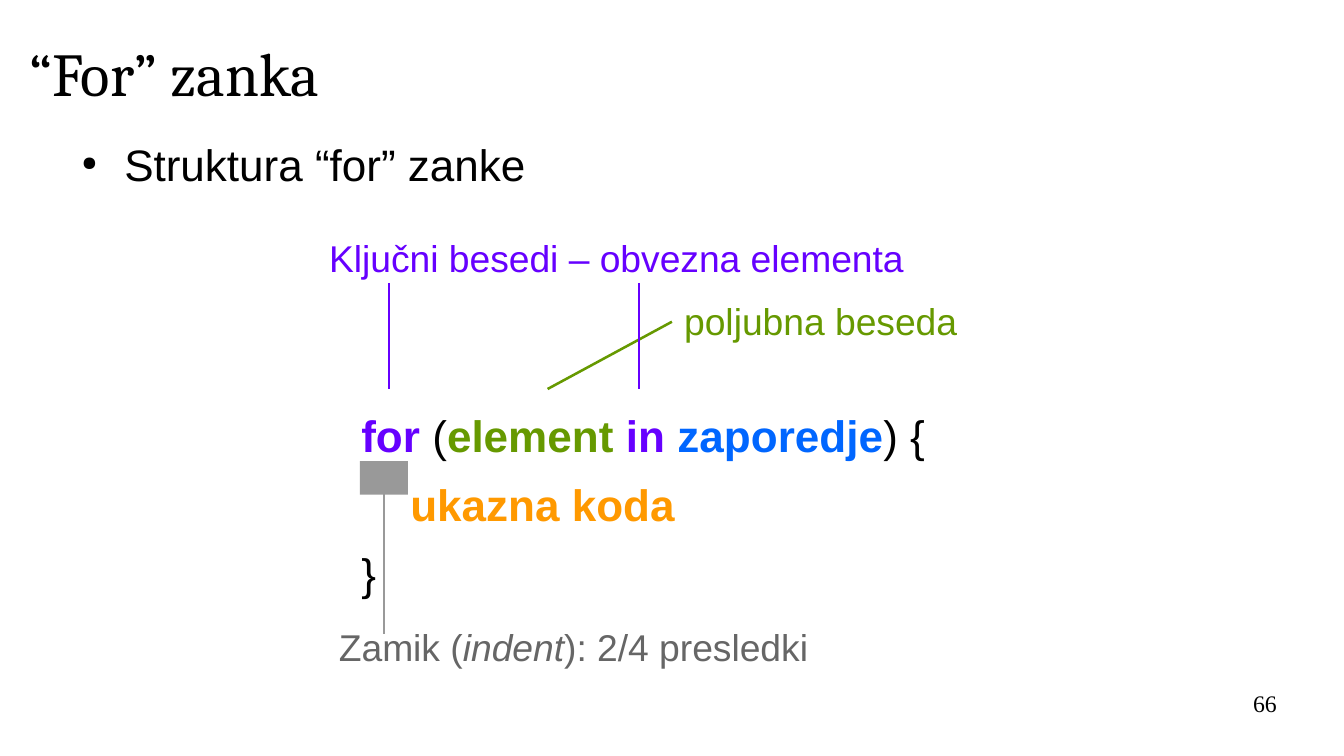
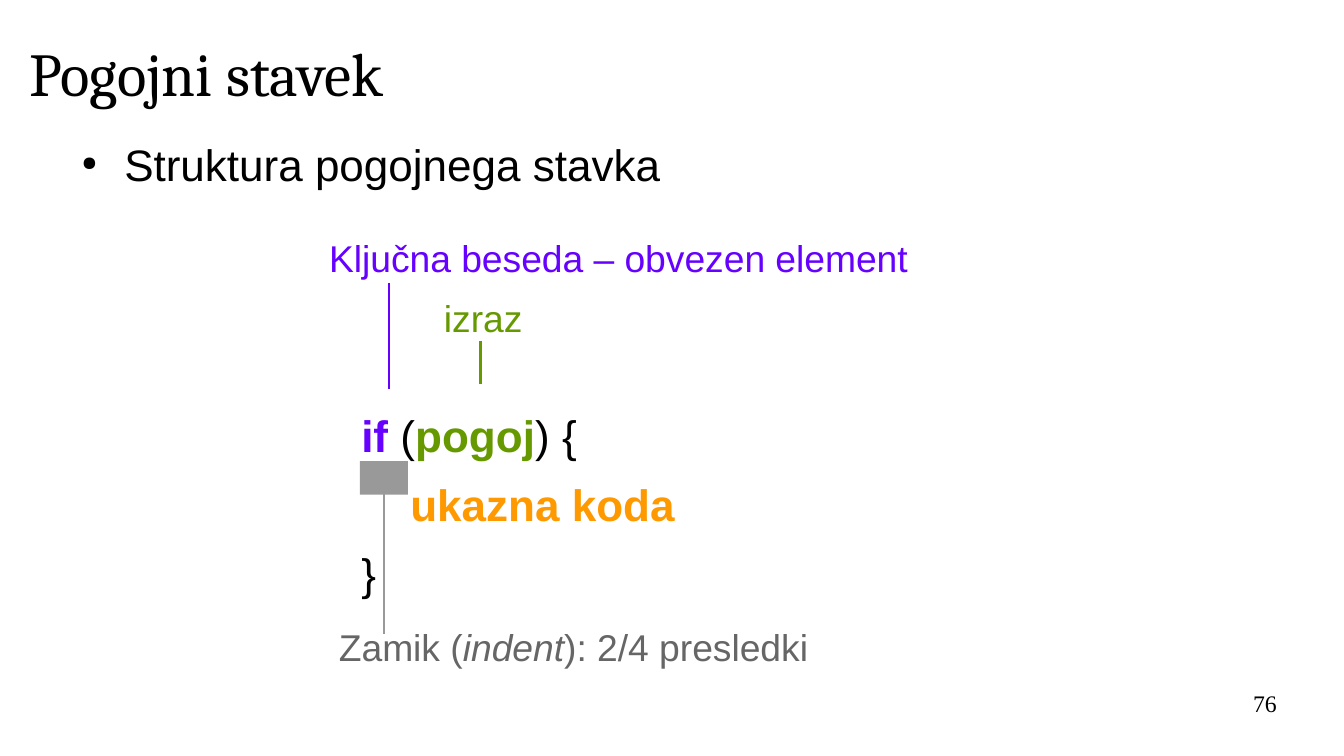
from lxml import etree
from pptx import Presentation
from pptx.dml.color import RGBColor
from pptx.enum.shapes import MSO_CONNECTOR, MSO_SHAPE
from pptx.enum.text import MSO_ANCHOR, PP_ALIGN
from pptx.oxml.ns import qn
from pptx.util import Pt

BLACK, PURPLE, GREEN, BLUE = "000000", "6600FF", "669900", "0066FF"
ORANGE, GREY, DARK_GREY = "FF9900", "999999", "666666"
TITLE_FONT, BODY_FONT, NUMBER_FONT = "Cambria", "Arial", "Times New Roman"
LABEL_SIZE, BODY_SIZE = 22, 26


def rgb(value):
    return RGBColor.from_string(value)


def add_text(s, box, lines, size, font=BODY_FONT, align=PP_ALIGN.LEFT,
             anchor=MSO_ANCHOR.TOP, gap=0):
    """Each line is a list of runs: (text, colour, optional style "b" or "i")."""
    tf = s.shapes.add_textbox(*map(Pt, box)).text_frame
    tf.word_wrap = True
    tf.vertical_anchor = anchor
    tf.margin_left = tf.margin_right = tf.margin_top = tf.margin_bottom = 0
    for i, runs in enumerate(lines):
        p = tf.add_paragraph() if i else tf.paragraphs[0]
        p.alignment = align
        p.space_before = Pt(gap if i else 0)
        for text, colour, *style in runs:
            r = p.add_run()
            r.text = text
            r.font.name, r.font.size = font, Pt(size)
            r.font.color.rgb = rgb(colour)
            r.font.bold, r.font.italic = "b" in style, "i" in style
    return tf


def add_line(s, start, end, colour):
    line = s.shapes.add_connector(MSO_CONNECTOR.STRAIGHT, *map(Pt, start + end))
    line.line.color.rgb = rgb(colour)
    line.line.width = Pt(1.5)
    etree.SubElement(line._element.spPr, qn("a:effectLst"))


def set_bullet(p, indent, hanging):
    pPr = p._p.get_or_add_pPr()
    pPr.set("marL", str(Pt(indent)))
    pPr.set("indent", str(-Pt(hanging)))
    colour = etree.SubElement(pPr, qn("a:buClr"))
    etree.SubElement(colour, qn("a:srgbClr")).set("val", BLACK)
    etree.SubElement(pPr, qn("a:buSzPct")).set("val", "45000")
    etree.SubElement(pPr, qn("a:buChar")).set("char", "●")


def add_frame(prs, title, bullet, number):
    """Add a slide with its title, bullet line and page number."""
    s = prs.slides.add_slide(prs.slide_layouts[6])
    add_text(s, (17.3, 10.8, 714, 63.4), [[(title, BLACK)]], 36, TITLE_FONT,
             anchor=MSO_ANCHOR.MIDDLE)
    tf = add_text(s, (39.6, 81.5, 748, 36), [[(bullet, BLACK)]], BODY_SIZE)
    set_bullet(tf.paragraphs[0], 33.8, 25.2)
    add_text(s, (568.8, 406.8, 185, 31), [[(number, BLACK)]], 14, NUMBER_FONT,
             PP_ALIGN.RIGHT)
    return s


def add_code_diagram(s, left, top, header, keywords, keyword_xs,
                     word, word_at, word_line):
    """Code with its labels; every position is relative to left, top."""
    def at(x, y):
        return left + x, top + y

    code = [header,
            [("    ", PURPLE, "b"), ("ukazna koda", ORANGE, "b")],
            [("}", BLACK)]]
    add_text(s, at(19, 102) + (540, 112), code, BODY_SIZE, gap=9.7)
    add_text(s, at(0, 0) + (371, 25), [[(keywords, PURPLE)]], LABEL_SIZE)
    add_text(s, at(*word_at) + (179, 25), [[(word, GREEN)]], LABEL_SIZE)
    start, end = word_line
    add_line(s, at(*start), at(*end), GREEN)
    for x in keyword_xs:
        add_line(s, at(x, 28), at(x, 90.7), PURPLE)

    sp = s.shapes.add_shape(MSO_SHAPE.RECTANGLE,
                            *map(Pt, at(18.2, 133.2) + (28.3, 19.8)))
    sp.shadow.inherit = False
    sp.fill.solid()
    sp.fill.fore_color.rgb = rgb(GREY)
    sp.line.fill.background()
    add_line(s, at(32.5, 150.4), at(32.5, 235.4), GREY)
    indent_note = [("Zamik (", DARK_GREY), ("indent", DARK_GREY, "i"),
                   ("): 2/4 presledki", DARK_GREY)]
    add_text(s, at(5.8, 229.7) + (371, 25), [indent_note], LABEL_SIZE)


def main():
    prs = Presentation()
    prs.slide_width, prs.slide_height = Pt(793.44), Pt(446.4)
    left, top = 194.3, 139

    s = add_frame(prs, "“For” zanka", "Struktura “for” zanke", "66")
    add_code_diagram(
        s, left, top,
        [("for ", PURPLE, "b"), ("(", BLACK), ("element ", GREEN, "b"),
         ("in ", PURPLE, "b"), ("zaporedje", BLUE, "b"), (") {", BLACK)],
        "Ključni besedi – obvezna elementa", (35.4, 183),
        "poljubna beseda", (209.6, 37.4), ((129, 90.7), (202.4, 51)))

    s = add_frame(prs, "Pogojni stavek", "Struktura pogojnega stavka", "76")
    add_code_diagram(
        s, left, top,
        [("if ", PURPLE, "b"), ("(", BLACK), ("pogoj", GREEN, "b"),
         (") {", BLACK)],
        "Ključna beseda – obvezen element", (35.4,),
        "izraz", (67.8, 35.2), ((89.4, 87.8), (89.4, 62.6)))

    prs.save("out.pptx")


if __name__ == "__main__":
    main()
